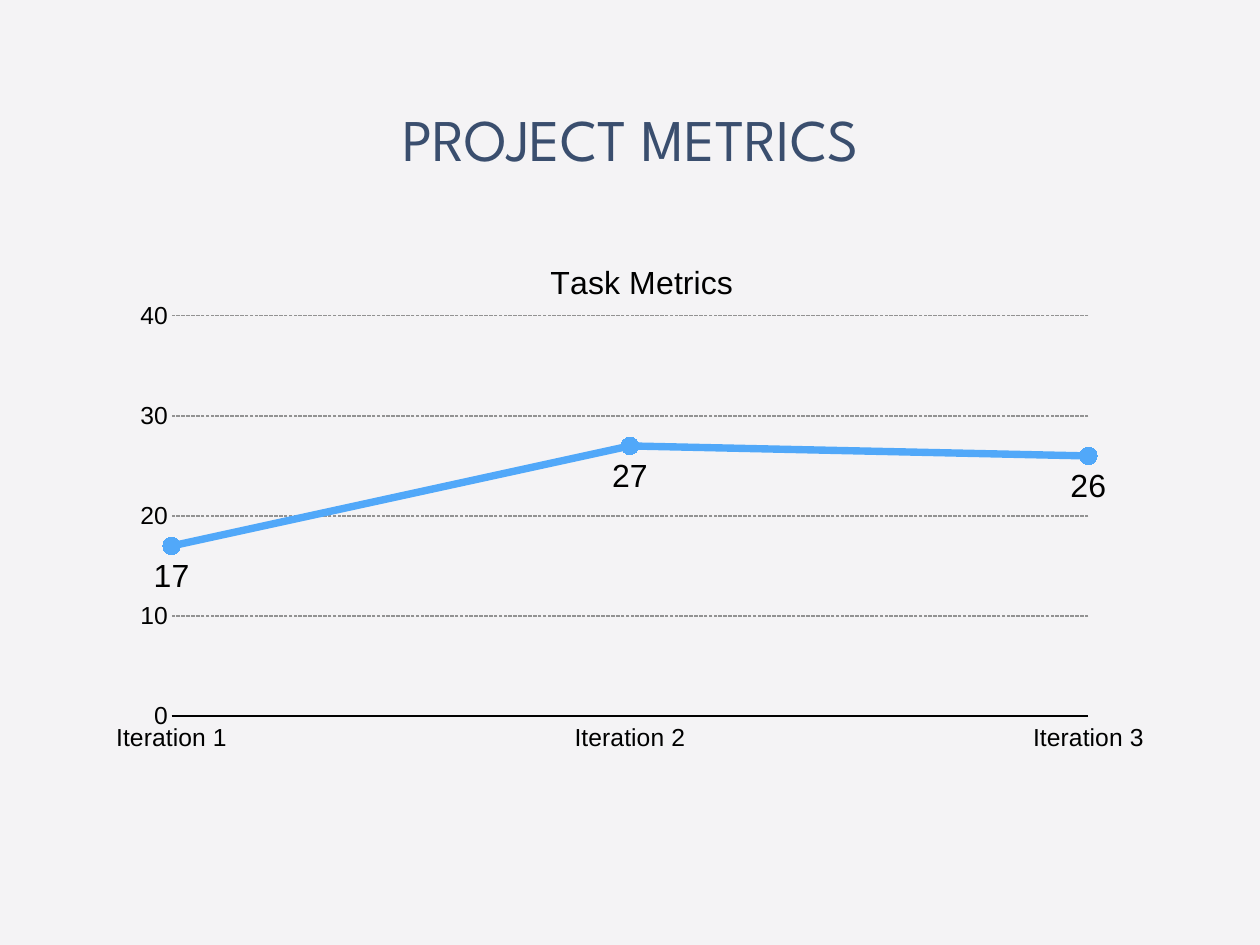
from typing import NamedTuple

from lxml import etree
from pptx import Presentation
from pptx.chart.chart import Chart
from pptx.chart.data import CategoryChartData
from pptx.dml.color import RGBColor
from pptx.enum.chart import (XL_CHART_TYPE, XL_LABEL_POSITION, XL_MARKER_STYLE,
                             XL_TICK_LABEL_POSITION, XL_TICK_MARK)
from pptx.enum.dml import MSO_LINE
from pptx.enum.text import MSO_ANCHOR, PP_ALIGN
from pptx.oxml.ns import qn
from pptx.slide import Slide
from pptx.text.text import Font
from pptx.util import Inches, Pt

LINE_MARKERS = XL_CHART_TYPE.LINE_MARKERS
BELOW = XL_LABEL_POSITION.BELOW
CIRCLE = XL_MARKER_STYLE.CIRCLE
LOW = XL_TICK_LABEL_POSITION.LOW
NO_TICK = XL_TICK_MARK.NONE
DASHED = MSO_LINE.SQUARE_DOT
MIDDLE = MSO_ANCHOR.MIDDLE
CENTER = PP_ALIGN.CENTER

PAPER = RGBColor(0xF4, 0xF3, 0xF5)
NAVY = RGBColor(0x3A, 0x4E, 0x6E)
BLUE = RGBColor(0x51, 0xA8, 0xF9)
GREY = RGBColor(0x92, 0x92, 0x92)
BLACK = RGBColor(0, 0, 0)

HEAD_FONT, CHART_FONT = "League Spartan", "Arial"

# The slide is a grid of 100 columns and 100 rows
SLIDE_W, SLIDE_H = Inches(14.22), Inches(10.67)
COL, ROW = SLIDE_W / 100, SLIDE_H / 100


class Box(NamedTuple):
    """Left, top, width and height in columns and rows."""
    x: float
    y: float
    w: float
    h: float

    def emu(self) -> tuple[int, int, int, int]:
        return (int(self.x * COL), int(self.y * ROW),
                int(self.w * COL), int(self.h * ROW))


TITLE_BOX = Box(0.7, 6.47, 98.66, 16.31)
CHART_BOX = Box(9.21, 26.24, 81.58, 54.45)

# Places inside the chart, in percent of its size
CHART_TITLE_AT = {"x": 41.7, "y": 1.5}
PLOT_AT = {"x": 5.4, "y": 13.2, "w": 89.2, "h": 77.8}

TASKS = {"Iteration 1": 17, "Iteration 2": 27, "Iteration 3": 26}


def set_font(font: Font, size: float, name: str = CHART_FONT,
             color: RGBColor = BLACK) -> None:
    font.size, font.name, font.bold = Pt(size), name, False
    font.color.rgb = color


def add_text(slide: Slide, text: str, box: Box, *, size: float, name: str,
             color: RGBColor, margin: float = 0.06) -> None:
    tf = slide.shapes.add_textbox(*box.emu()).text_frame
    tf.word_wrap, tf.vertical_anchor = True, MIDDLE
    tf.margin_left = tf.margin_right = Inches(margin)
    tf.margin_top = tf.margin_bottom = Inches(margin)
    p = tf.paragraphs[0]
    p.alignment = CENTER
    r = p.add_run()
    r.text = text
    set_font(r.font, size, name, color)


def place(chart: Chart, part: str, before: str, at: dict[str, float],
          inner: bool = False) -> None:
    """Give a chart part a manual layout, put in front of the named child."""
    parent = chart.element.find(".//" + qn(part))
    for old in parent.findall(qn("c:layout")):
        parent.remove(old)
    layout = etree.Element(qn("c:layout"))
    manual = etree.SubElement(layout, qn("c:manualLayout"))
    if inner:
        etree.SubElement(manual, qn("c:layoutTarget"), val="inner")
    for key in "xy":
        etree.SubElement(manual, qn(f"c:{key}Mode"), val="edge")
    for key, percent in at.items():
        etree.SubElement(manual, qn(f"c:{key}"), val=f"{percent / 100:.3f}")
    parent.find(qn(before)).addprevious(layout)


def style_axes(chart: Chart) -> None:
    cat, val = chart.category_axis, chart.value_axis
    for axis in (cat, val):
        axis.major_tick_mark = axis.minor_tick_mark = NO_TICK
        set_font(axis.tick_labels.font, 20)
    cat.tick_label_position = LOW
    cat.format.line.color.rgb = BLACK
    cat.format.line.width = Pt(1)
    val.format.line.fill.background()
    val.minimum_scale, val.maximum_scale, val.major_unit = 0, 40, 10
    grid = val.major_gridlines.format.line
    grid.color.rgb, grid.width, grid.dash_style = GREY, Pt(1), DASHED

    # The line starts and ends on the edges of the plot
    unit = chart.element.find(".//" + qn("c:majorUnit"))
    unit.addprevious(etree.Element(qn("c:crossBetween"), val="midCat"))


def style_series(chart: Chart) -> None:
    series = chart.plots[0].series[0]
    series.smooth = False
    line, marker = series.format.line, series.marker
    line.color.rgb, line.width = BLUE, Pt(6)
    marker.style, marker.size = CIRCLE, 14
    marker.format.fill.solid()
    marker.format.fill.fore_color.rgb = BLUE
    marker.format.line.color.rgb = BLUE
    labels = series.data_labels
    labels.show_value, labels.position = True, BELOW
    labels.number_format, labels.number_format_is_linked = "#,##0", False
    set_font(labels.font, 26)


def add_task_chart(slide: Slide) -> None:
    data = CategoryChartData()
    data.categories = list(TASKS)
    data.add_series("Series 1", list(TASKS.values()))
    chart = slide.shapes.add_chart(LINE_MARKERS, *CHART_BOX.emu(), data).chart
    set_font(chart.font, 10, HEAD_FONT, NAVY)
    chart.has_legend = False
    chart.plots[0].vary_by_categories = False

    # Chart title
    p = chart.chart_title.text_frame.paragraphs[0]
    r = p.add_run()
    r.text = "Task Metrics"
    set_font(r.font, 26)
    overlay = chart.element.find(".//" + qn("c:title")).find(qn("c:overlay"))
    overlay.set("val", "1")

    style_axes(chart)
    style_series(chart)
    place(chart, "c:title", "c:overlay", CHART_TITLE_AT)
    place(chart, "c:plotArea", "c:lineChart", PLOT_AT, inner=True)


def main() -> None:
    prs = Presentation()
    prs.slide_width, prs.slide_height = SLIDE_W, SLIDE_H
    slide = prs.slides.add_slide(prs.slide_layouts[6])
    slide.background.fill.solid()
    slide.background.fill.fore_color.rgb = PAPER
    add_text(slide, "PROJECT METRICS", TITLE_BOX, size=48, name=HEAD_FONT,
             color=NAVY)
    add_task_chart(slide)
    prs.save("out.pptx")


if __name__ == "__main__":
    main()
